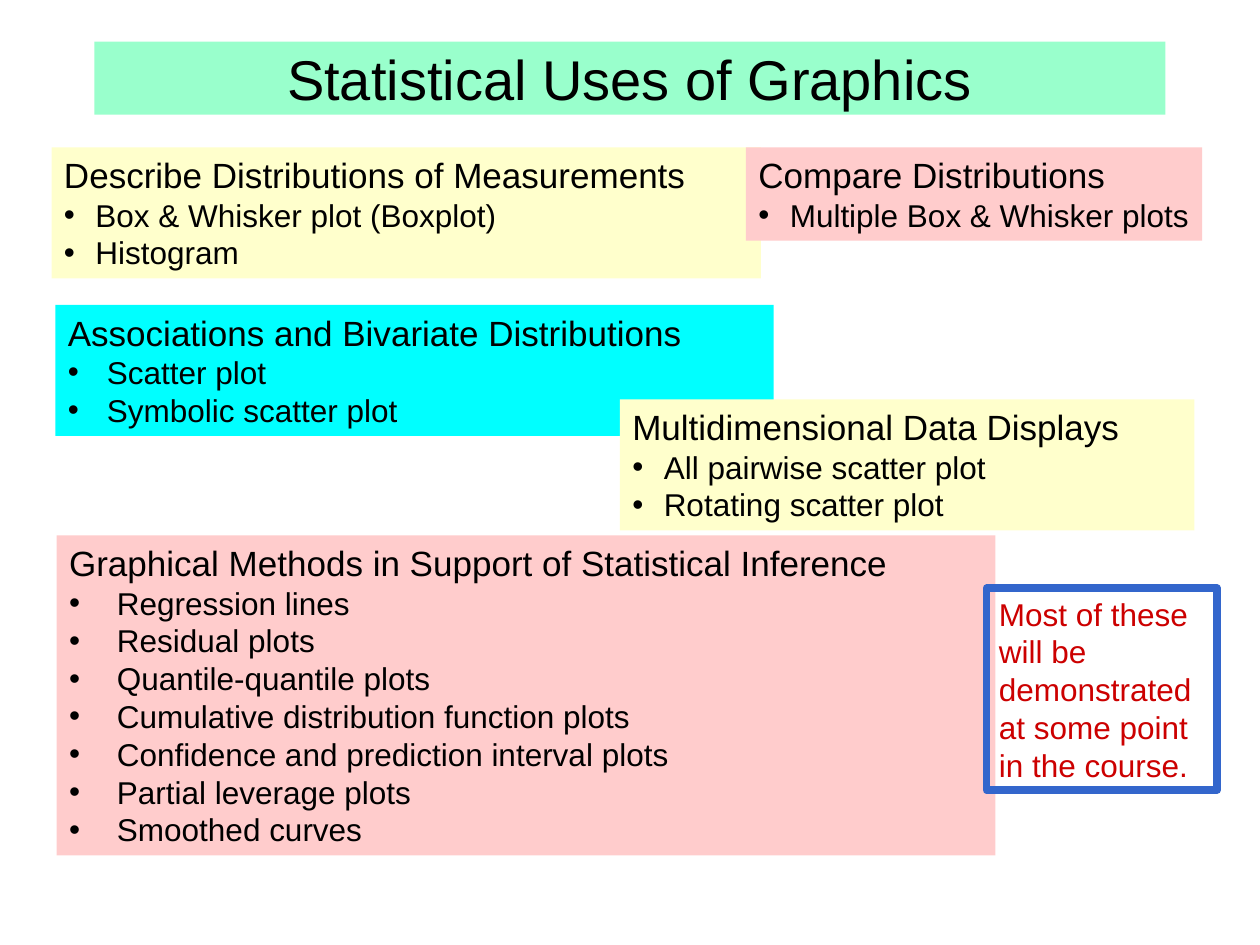
from lxml.etree import SubElement
from pptx import Presentation
from pptx.dml.color import RGBColor as RGB
from pptx.enum.shapes import MSO_SHAPE as SHAPE
from pptx.enum.text import MSO_ANCHOR as ANCHOR, PP_ALIGN as ALIGN
from pptx.oxml.ns import qn
from pptx.util import Inches, Pt

COLORS = {
    "mint": "99FFCC", "cream": "FFFFCC", "pink": "FFCCCC", "cyan": "00FFFF",
    "blue": "3366CC", "red": "CC0000", "black": "000000",
}
COLS, ROWS = 100, 75
FONT = "Arial"
TOPICS = [
    ((4.1, 11.7, 56.3, 10.4), "cream", 0.25, "Describe Distributions of Measurements",
     ["Box & Whisker plot (Boxplot)", "Histogram"]),
    ((59.2, 11.7, 36.2, 7.4), "pink", 0.25, "Compare Distributions",
     ["Multiple Box & Whisker plots"]),
    ((4.4, 24.2, 57, 10.4), "cyan", 0.31, "Associations and Bivariate Distributions",
     ["Scatter plot", "Symbolic scatter plot"]),
    ((49.2, 31.7, 45.6, 10.4), "cream", 0.25, "Multidimensional Data Displays",
     ["All pairwise scatter plot", "Rotating scatter plot"]),
    ((4.5, 42.5, 74.5, 25.4), "pink", 0.38,
     "Graphical Methods in Support of Statistical Inference",
     ["Regression lines", "Residual plots", "Quantile-quantile plots",
      "Cumulative distribution function plots",
      "Confidence and prediction interval plots",
      "Partial leverage plots", "Smoothed curves"]),
]

prs = Presentation()
prs.slide_width, prs.slide_height = Inches(10), Inches(7.5)


def rgb(name):
    return RGB.from_string(COLORS[name])


def add_box(s, box, fill=None, line=None, anchor=ANCHOR.TOP):
    col, row = prs.slide_width / COLS, prs.slide_height / ROWS
    x, y, w, h = box
    sp = s.shapes.add_shape(SHAPE.RECTANGLE, int(x * col), int(y * row),
                            int(w * col), int(h * row))
    sp.shadow.inherit = False
    if fill:
        sp.fill.solid()
        sp.fill.fore_color.rgb = rgb(fill)
    else:
        sp.fill.background()
    if line:
        sp.line.color.rgb = rgb(line)
        sp.line.width = Pt(4.5)
    else:
        sp.line.fill.background()
    tf = sp.text_frame
    tf.word_wrap = True
    tf.vertical_anchor = anchor
    tf.margin_right = Inches(0.05)
    return tf


def add_text(p, text, size, color="black", align=ALIGN.LEFT):
    p.alignment = align
    r = p.add_run()
    r.text = text
    r.font.name, r.font.size = FONT, Pt(size)
    r.font.color.rgb = rgb(color)


def set_bullet(p, indent):
    pPr = p._p.get_or_add_pPr()
    pPr.set("marL", str(Inches(indent)))
    pPr.set("indent", str(-Inches(indent)))
    SubElement(pPr, qn("a:buFont"), typeface=FONT)
    SubElement(pPr, qn("a:buChar"), char="•")


def add_title(s, box):
    tf = add_box(s, box, "mint", anchor=ANCHOR.MIDDLE)
    tf.margin_right = tf.margin_left
    add_text(tf.paragraphs[0], "Statistical Uses of Graphics", 32, align=ALIGN.CENTER)


def add_topic(s, box, fill, indent, heading, items):
    tf = add_box(s, box, fill)
    add_text(tf.paragraphs[0], heading, 20)
    for item in items:
        p = tf.add_paragraph()
        set_bullet(p, indent)
        add_text(p, item, 18)


def add_note(s, box):
    tf = add_box(s, box, line="blue")
    add_text(tf.paragraphs[0],
             "Most of these will be demonstrated at some point in the course.", 18, "red")


def main():
    s = prs.slides.add_slide(prs.slide_layouts[6])
    for topic in TOPICS:
        add_topic(s, *topic)
    add_title(s, (7.5, 3.3, 85, 5.8))
    add_note(s, (78.3, 46.7, 18.3, 16))
    prs.save("out.pptx")


if __name__ == "__main__":
    main()
